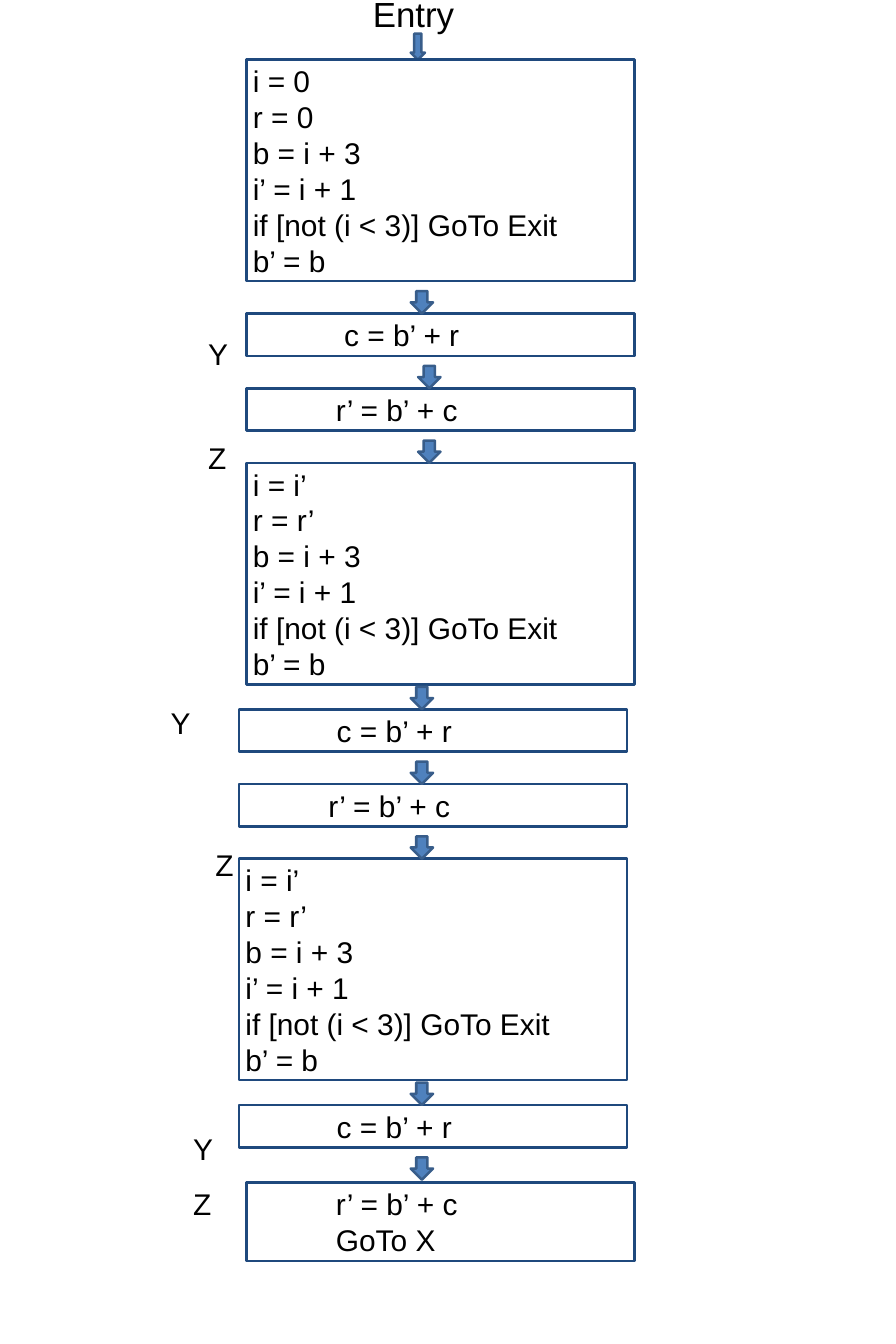
import pptx
import pptx.util
import pptx.dml.color
import pptx.enum.shapes
import pptx.enum.text

Pt = pptx.util.Pt
KIND = pptx.enum.shapes.MSO_SHAPE

# Content: each block has left, top, indent, lines
STEP = ["b = i + 3", "i’ = i + 1", "if [not (i < 3)] GoTo Exit", "b’ = b"]
FIRST = ["i = 0", "r = 0"] + STEP
LOOP = ["i = i’", "r = r’"] + STEP
SUM = ["c = b’ + r"]
NEXT = ["r’ = b’ + c"]
BLOCKS = [
    (198, 48, 0, FIRST),
    (198, 252, 73.4, SUM),
    (198, 312, 66.7, NEXT),
    (198, 372, 0, LOOP),
    (192, 570, 73.4, SUM),
    (192, 630, 66.7, NEXT),
    (192, 690, 0, LOOP),
    (192, 888, 73.4, SUM),
    (198, 950.4, 66.7, NEXT + ["GoTo X"]),
]
# Labels: text, left, top
LABELS = [
    ("Y", 162, 267), ("Z", 162, 351), ("Y", 132, 564),
    ("Z", 168, 678), ("Y", 150, 906), ("Z", 150, 950.4),
]
# Arrows between blocks: left, tip
ARROWS = [
    (330, 252), (336, 312), (336, 372), (330, 570),
    (330, 630), (330, 690), (330, 888), (330, 948),
]
WIDE, SIZE, LEAD = 312, 24, 1.2
PAD_X, PAD_Y = 5.2, 2.6


def color(code):
    return pptx.dml.color.RGBColor.from_string(code)


def write(shape, lines, size=SIZE, indent=0):
    frame = shape.text_frame
    frame.word_wrap = True
    frame.vertical_anchor = pptx.enum.text.MSO_ANCHOR.TOP
    frame.margin_left = frame.margin_right = Pt(PAD_X)
    frame.margin_top = frame.margin_bottom = Pt(PAD_Y)
    for n, line in enumerate(lines):
        para = frame.add_paragraph() if n else frame.paragraphs[0]
        para.alignment = pptx.enum.text.PP_ALIGN.LEFT
        para.line_spacing = Pt(size * LEAD)
        para._p.get_or_add_pPr().set("marL", str(Pt(indent)))
        run = para.add_run()
        run.text = line
        run.font.name = "Arial"
        run.font.size = Pt(size)
        run.font.color.rgb = color("000000")


def draw(kind, x, y, w, h, line, fill=None):
    shape = slide.shapes.add_shape(kind, Pt(x), Pt(y), Pt(w), Pt(h))
    shape.shadow.inherit = False
    if fill:
        shape.fill.solid()
        shape.fill.fore_color.rgb = color(fill)
    else:
        shape.fill.background()
    shape.line.color.rgb = color(line)
    shape.line.width = Pt(2)
    return shape


def label(text, x, y, w, size=SIZE, indent=0):
    high = size * LEAD + 2 * PAD_Y
    box = slide.shapes.add_textbox(Pt(x), Pt(y), Pt(w), Pt(high))
    write(box, [text], size, indent)


def arrow(x, tip, w=18, h=18):
    draw(KIND.DOWN_ARROW, x, tip - h, w, h, "385D8A", "4F81BD")


deck = pptx.Presentation()
deck.slide_width, deck.slide_height = Pt(720), Pt(1080)
slide = deck.slides.add_slide(deck.slide_layouts[6])

# Entry
label("Entry", 240, -8.6, 133, 28, 54.5)
arrow(330, 48, 11.5, 21)

# Code blocks
for x, y, indent, lines in BLOCKS:
    high = len(lines) * SIZE * LEAD + 2 * PAD_Y
    write(draw(KIND.RECTANGLE, x, y, WIDE, high, "1F497D"), lines, indent=indent)

# Labels and arrows
for text, x, y in LABELS:
    label(text, x, y, 30)
for x, tip in ARROWS:
    arrow(x, tip)

deck.save("out.pptx")
